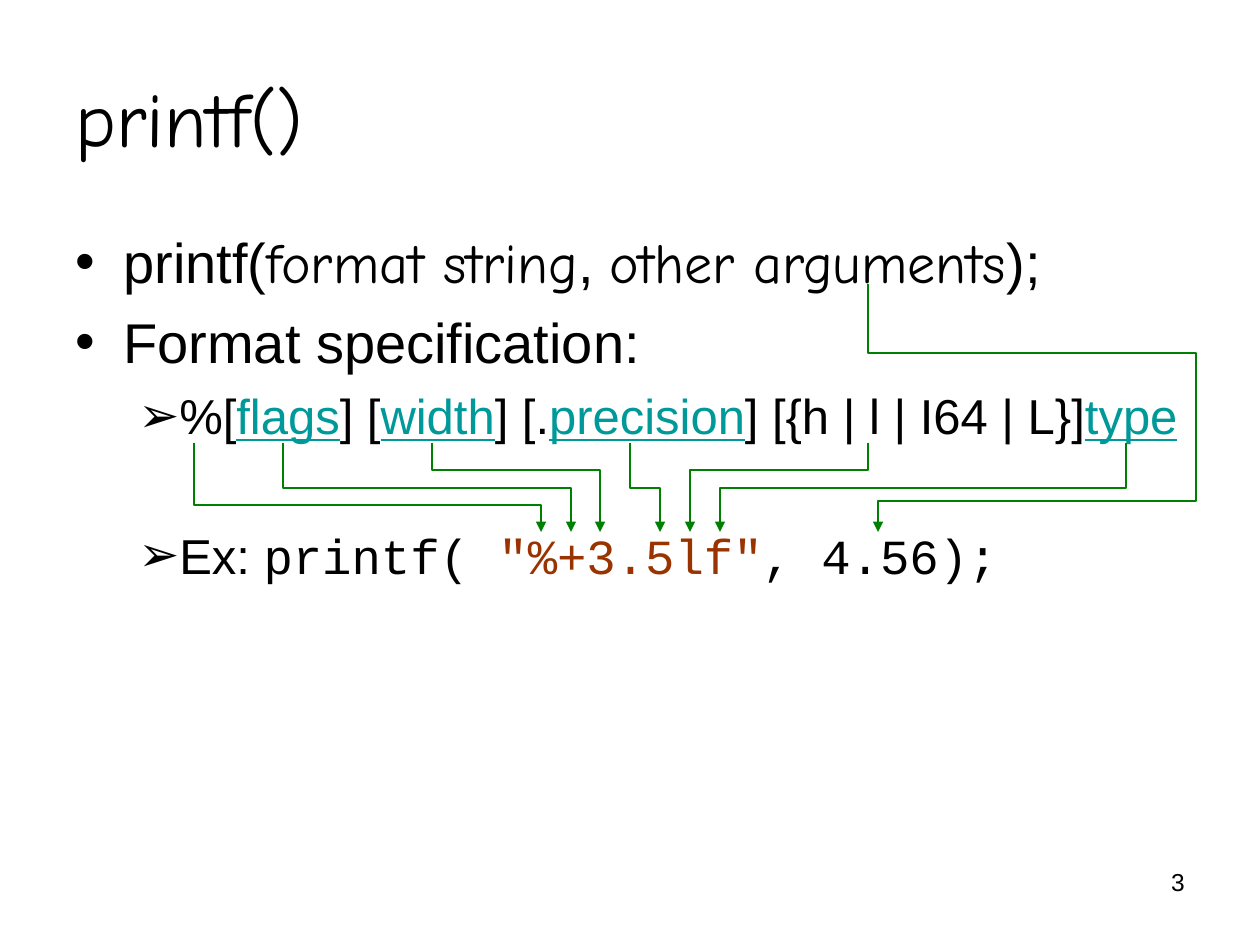
"""Build a slide that maps each part of a printf format to an example."""
from dataclasses import dataclass

from lxml.etree import SubElement
from pptx import Presentation
from pptx.dml.color import RGBColor
from pptx.enum.shapes import MSO_CONNECTOR as Link
from pptx.enum.text import MSO_ANCHOR as Anchor, PP_ALIGN as Align
from pptx.oxml.ns import qn
from pptx.util import Emu, Pt

SCALE = 914400 / 126
BLACK, TEAL, RUST, GREEN = "000000", "009999", "993300", "008000"
SANS, HAND, MONO = "Arial", "Comic Neue", "Courier New"


@dataclass
class Piece:
    text: str
    font: str = SANS
    color: str = BLACK
    under: bool = False


@dataclass
class Item:
    words: list[Piece]
    size: int
    mark: str
    left: int
    hang: int
    gap: float


@dataclass
class Wire:
    x1: int
    y1: int
    x2: int
    y2: int
    bend: int
    arrow: bool = True


def px(num: float) -> Emu:
    return Emu(round(num * SCALE))


def paint(color: str) -> RGBColor:
    return RGBColor.from_string(color)


def add_box(slide, left: int, top: int, width: int, height: int):
    frame = slide.shapes.add_textbox(*map(px, (left, top, width, height))).text_frame
    frame.word_wrap = True
    return frame


def style(run, size: int, piece: Piece) -> None:
    font = run.font
    font.size, font.name = Pt(size), piece.font
    font.color.rgb = paint(piece.color)
    if piece.under:
        font.underline = True


def add_line(frame, size: int, piece: Piece):
    frame.text = piece.text
    para = frame.paragraphs[0]
    style(para.runs[0], size, piece)
    return para


def add_item(para, item: Item) -> None:
    props = para._p.get_or_add_pPr()
    props.set("marL", str(px(item.left)))
    props.set("indent", str(-px(item.hang)))
    SubElement(props, qn("a:buFont")).set("typeface", SANS)
    SubElement(props, qn("a:buChar")).set("char", item.mark)
    if item.gap:
        para.space_before = Pt(item.gap)
    for piece in item.words:
        run = para.add_run()
        run.text = piece.text
        style(run, item.size, piece)


def add_wire(slide, wire: Wire) -> None:
    mid_x, mid_y = (wire.x1 + wire.x2) / 2, (wire.y1 + wire.y2) / 2
    right = wire.x2 > wire.x1
    half = (wire.y2 - wire.y1) / 2 * (1 if right else -1)
    side = abs(wire.x2 - wire.x1) / 2
    link = slide.shapes.add_connector(
        Link.ELBOW, px(mid_x + half), px(mid_y - side), px(mid_x - half), px(mid_y + side))
    link.line.color.rgb = paint(GREEN)
    link.line.width = Pt(1.5)
    props = link._element.spPr
    props.find(qn("a:xfrm")).set("rot", str((270 if right else 90) * 60000))
    ratio = (wire.bend - wire.y1) / (wire.y2 - wire.y1)
    guide = SubElement(props.find(qn("a:prstGeom")).find(qn("a:avLst")), qn("a:gd"))
    guide.set("name", "adj1")
    guide.set("fmla", f"val {round(ratio * 100000)}")
    if wire.arrow:
        SubElement(props.find(qn("a:ln")), qn("a:tailEnd")).set("type", "triangle")
    SubElement(props, qn("a:effectLst"))


def field(text: str) -> Piece:
    return Piece(text, color=TEAL, under=True)


def main_item(gap: float, *words: Piece) -> Item:
    return Item(list(words), 32, "•", 48, 48, gap)


def sub_item(gap: float, *words: Piece) -> Item:
    return Item(list(words), 28, "➢", 102, 39, gap)


ITEMS = [
    main_item(0, Piece("printf("), Piece("format string", HAND), Piece(", "),
              Piece("other arguments", HAND), Piece(");")),
    main_item(7.4, Piece("Format specification:")),
    sub_item(6.4, Piece("%["), field("flags"), Piece("] ["), field("width"), Piece("] [."),
             field("precision"), Piece("] [{h | l | I64 | L}]"), field("type")),
    sub_item(46, Piece("Ex: "), Piece("printf( ", MONO), Piece('"%+3.5lf"', MONO, RUST),
             Piece(", 4.56);", MONO)),
]
SPANS = [(194, 541, 505), (283, 571, 488), (432, 600, 470),
         (630, 660, 488), (868, 690, 470), (1126, 720, 488)]
WIRES = [Wire(start, 443, end, 532, bend) for start, end, bend in SPANS] + [
    Wire(868, 284, 1196, 423, 353, False),
    Wire(1196, 423, 878, 532, 501),
]


def main() -> None:
    deck = Presentation()
    deck.slide_width, deck.slide_height = px(1260), px(945)
    slide = deck.slides.add_slide(deck.slide_layouts[6])

    add_line(add_box(slide, 903, 861, 294, 66), 14, Piece("3")).alignment = Align.RIGHT
    title = add_box(slide, 63, 38, 1134, 158)
    title.vertical_anchor = Anchor.MIDDLE
    add_line(title, 44, Piece("printf()", HAND))

    body = add_box(slide, 63, 221, 1134, 624)
    for index, item in enumerate(ITEMS):
        add_item(body.add_paragraph() if index else body.paragraphs[0], item)
    for wire in WIRES:
        add_wire(slide, wire)
    deck.save("out.pptx")


if __name__ == "__main__":
    main()
